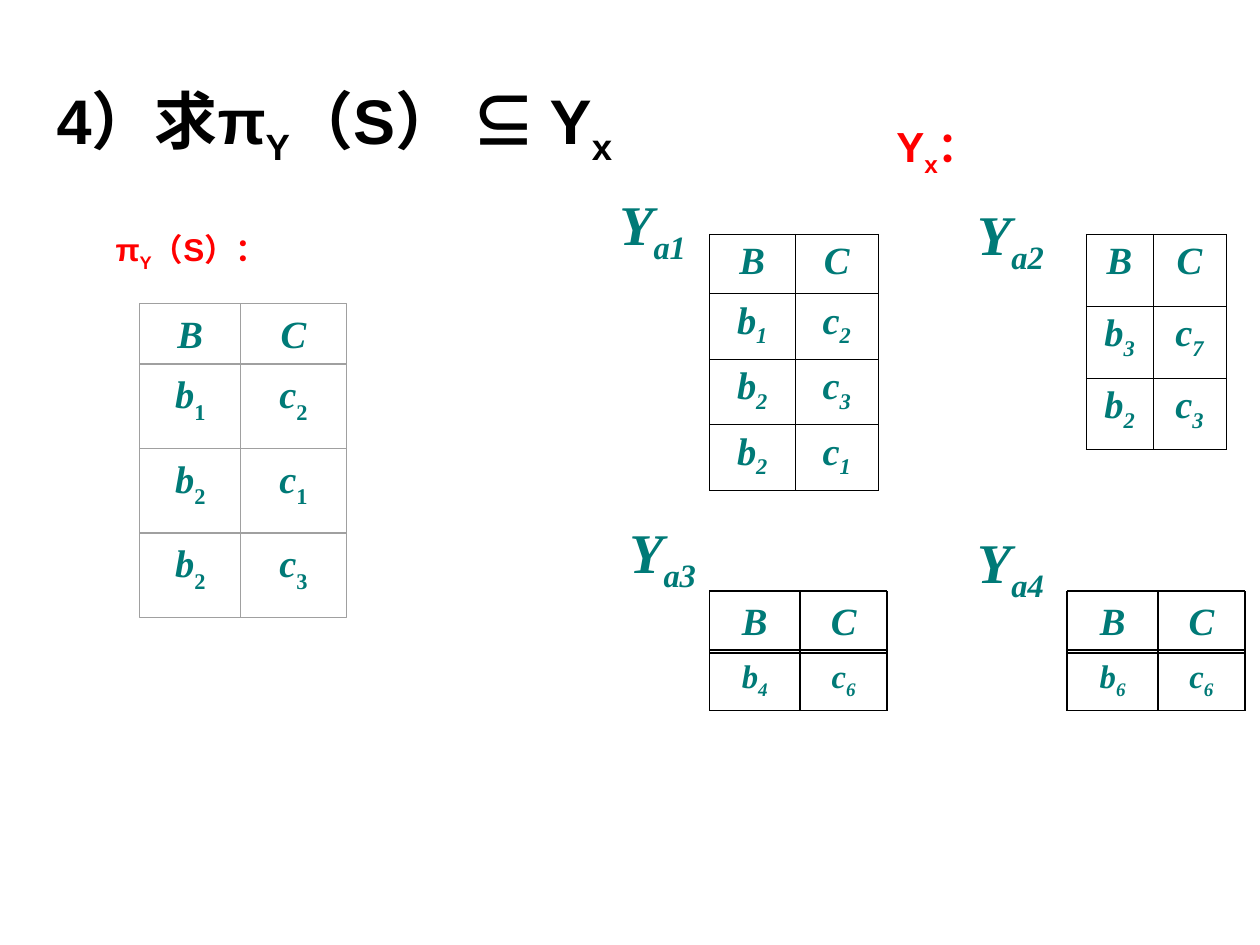
from lxml import etree
from pptx import Presentation
from pptx.dml.color import RGBColor
from pptx.enum import shapes, text
from pptx.oxml.ns import qn
from pptx.util import Inches, Pt

TEAL, RED, BLACK, GRAY = "007A77", "FF0000", "000000", "A0A0A0"
SERIF, SANS = "Times New Roman", "Arial"
CENTER, LEFT = text.PP_ALIGN.CENTER, text.PP_ALIGN.LEFT


def color(value):
    return RGBColor.from_string(value)


def add_runs(paragraph, markup, size, name, fill, italic=False,
             drop=-25, italic_subscript=True):
    """Pieces are divided by |, and a piece that starts with _ is a subscript."""
    for piece in markup.split("|"):
        subscript = piece.startswith("_")
        run = paragraph.add_run()
        run.text = piece.lstrip("_")
        font = run.font
        font.size, font.name, font.bold = Pt(size), name, True
        font.italic = italic and (italic_subscript or not subscript)
        font.color.rgb = color(fill)
        if subscript:
            font._element.set("baseline", str(drop * 1000))


def add_label(parent, box, markup, size, name, fill, align=CENTER, wrap=True,
              middle=False, grow=False, spacing=None, **run_style):
    shape = parent.shapes.add_textbox(*map(Inches, box))
    frame = shape.text_frame
    frame.word_wrap = wrap
    if grow:
        frame.auto_size = text.MSO_AUTO_SIZE.SHAPE_TO_FIT_TEXT
    if middle:
        frame.vertical_anchor = text.MSO_ANCHOR.MIDDLE
    paragraph = frame.paragraphs[0]
    paragraph.alignment = align
    if spacing:
        paragraph.line_spacing = spacing
    add_runs(paragraph, markup, size, name, fill, **run_style)


def relation_values(tuples):
    """Header B and C, then one row for each tuple."""
    return [("B", "C")] + [(f"b|_{b}", f"c|_{c}") for b, c in tuples]


def add_line(parent, *ends):
    line = parent.shapes.add_connector(shapes.MSO_CONNECTOR.STRAIGHT, *map(Inches, ends))
    line.line.color.rgb = color(BLACK)
    line.line.width = Pt(1)
    etree.SubElement(line._element.spPr, qn("a:effectLst"))


def set_border(cell):
    properties = cell._tc.get_or_add_tcPr()
    for index, side in enumerate("LRTB"):
        border = etree.Element(qn(f"a:ln{side}"), w=str(Pt(0.45)))
        fill = etree.SubElement(border, qn("a:solidFill"))
        etree.SubElement(fill, qn("a:srgbClr"), val=BLACK)
        properties.insert(index, border)


def add_headings(slide):
    add_label(slide, (0.35, 0.6, 6.12, 0.79), "4）求π|_Y|（S） ⊆ Y|_x",
              36, SANS, BLACK, align=LEFT, grow=True)
    add_label(slide, (0.73, 1.78, 1.58, 0.44), "π|_Y|（S）：",
              18, SANS, RED, wrap=False, grow=True)
    add_label(slide, (6.42, 0.91, 2.05, 0.56), "Y|_x|：", 24, SANS, RED, grow=True)


def add_relation_table(slide, left, top, columns, rows, tuples):
    frame = slide.shapes.add_table(len(rows), len(columns), Inches(left), Inches(top),
                                   Inches(sum(columns)), Inches(sum(rows)))
    table = frame.table
    table.first_row = table.horz_banding = False
    for column, size in zip(table.columns, columns):
        column.width = Inches(size)
    for row, size in zip(table.rows, rows):
        row.height = Inches(size)
    for row, markups in zip(table.rows, relation_values(tuples)):
        for cell, markup in zip(row.cells, markups):
            cell.fill.background()
            set_border(cell)
            paragraph = cell.text_frame.paragraphs[0]
            paragraph.alignment = CENTER
            add_runs(paragraph, markup, 22, SERIF, TEAL, italic=True)


def add_projection(slide, left, top):
    """Projection of S: every value stands in a framed box."""
    group = slide.shapes.add_group_shape()
    heights = (0.48, 0.67, 0.67, 0.67)
    for height, markups in zip(heights, relation_values([(1, 2), (2, 1), (2, 3)])):
        x = left
        for width, markup in zip((0.8, 0.84), markups):
            add_label(group, (x + 0.1, top, width - 0.2, height), markup, 22, SERIF, TEAL,
                      italic=True, drop=-30, italic_subscript=False)
            frame = group.shapes.add_shape(shapes.MSO_SHAPE.RECTANGLE, Inches(x),
                                           Inches(top), Inches(width), Inches(height))
            frame.shadow.inherit = False
            frame.fill.background()
            frame.line.color.rgb = color(GRAY)
            frame.line.width = Pt(0)
            x += width
        top += height


def add_ruled_relation(slide, left, top, b, c):
    """Header band and one tuple band, each ruled on all sides."""
    group = slide.shapes.add_group_shape()
    edges = (left, left + 0.72, left + 1.41)
    header, values = relation_values([(b, c)])
    bands = ((top + 0.47, 0.48, values, 18.7, 0.9), (top, 0.49, header, 22, None))
    for y, height, markups, size, spacing in bands:
        for x, right, markup in zip(edges, edges[1:], markups):
            add_label(group, (x, y, right - x, height), markup, size, SERIF, TEAL,
                      spacing=spacing, italic=True)
        for rule in (y, y + height):
            add_line(group, edges[0], rule, edges[-1], rule)
        for x in edges:
            add_line(group, x, y, x, y + height)


def add_image_sets(slide):
    # Names of the image sets
    for name, left, top in (("a1", 4.68, 1.31), ("a2", 7.52, 1.39),
                            ("a3", 4.76, 3.91), ("a4", 7.52, 3.99)):
        add_label(slide, (left, top, 1, 1), f"Y|_{name}", 32, SERIF, TEAL,
                  wrap=False, middle=True, italic=True)
    # Upper pair
    add_relation_table(slide, 5.63, 1.86, (0.68, 0.66), (0.47, 0.52, 0.52, 0.52),
                       [(1, 2), (2, 3), (2, 1)])
    add_relation_table(slide, 8.62, 1.86, (0.53, 0.58), (0.57,) * 3, [(3, 7), (2, 3)])
    # Lower pair, one tuple each
    for left, b in ((5.63, 4), (8.47, 6)):
        add_ruled_relation(slide, left, 4.69, b, 6)


def main():
    presentation = Presentation()
    presentation.slide_width, presentation.slide_height = Inches(10), Inches(7.5)
    slide = presentation.slides.add_slide(presentation.slide_layouts[6])
    add_headings(slide)
    add_projection(slide, 1.11, 2.41)
    add_image_sets(slide)
    presentation.save("out.pptx")


if __name__ == "__main__":
    main()
